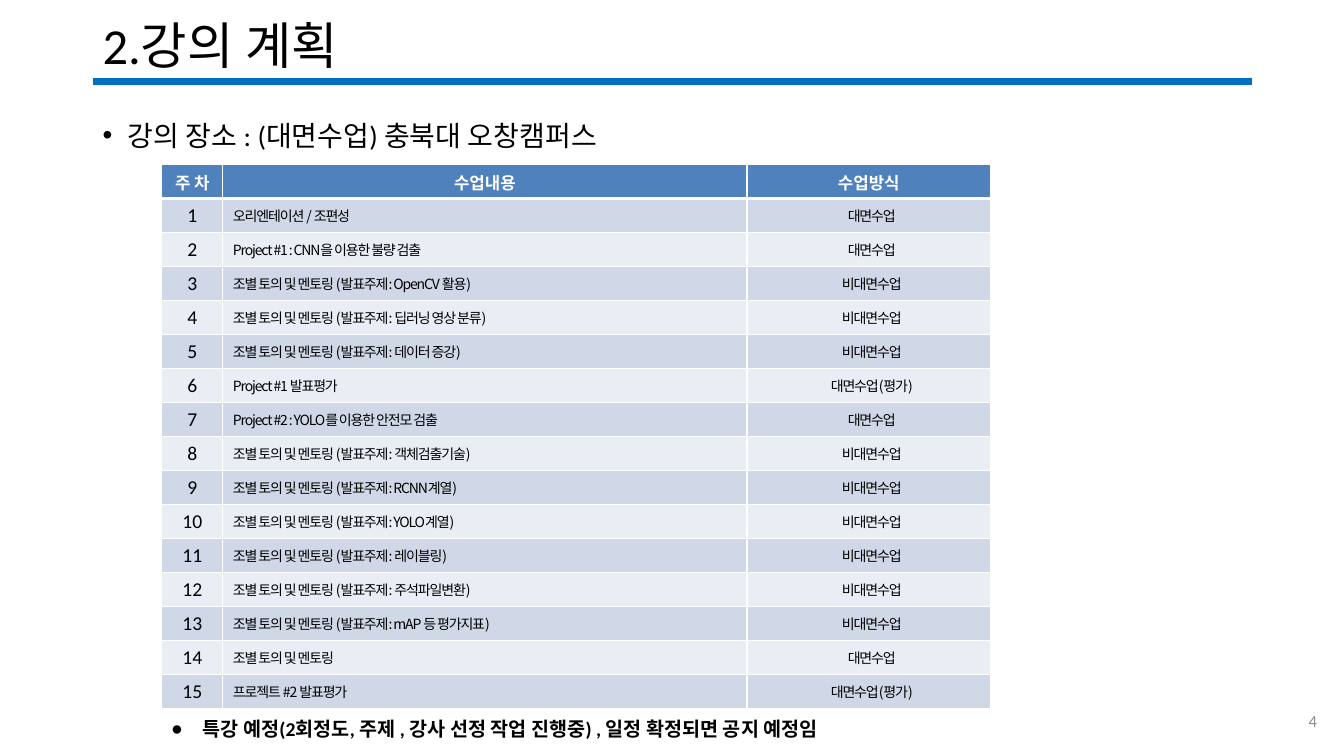
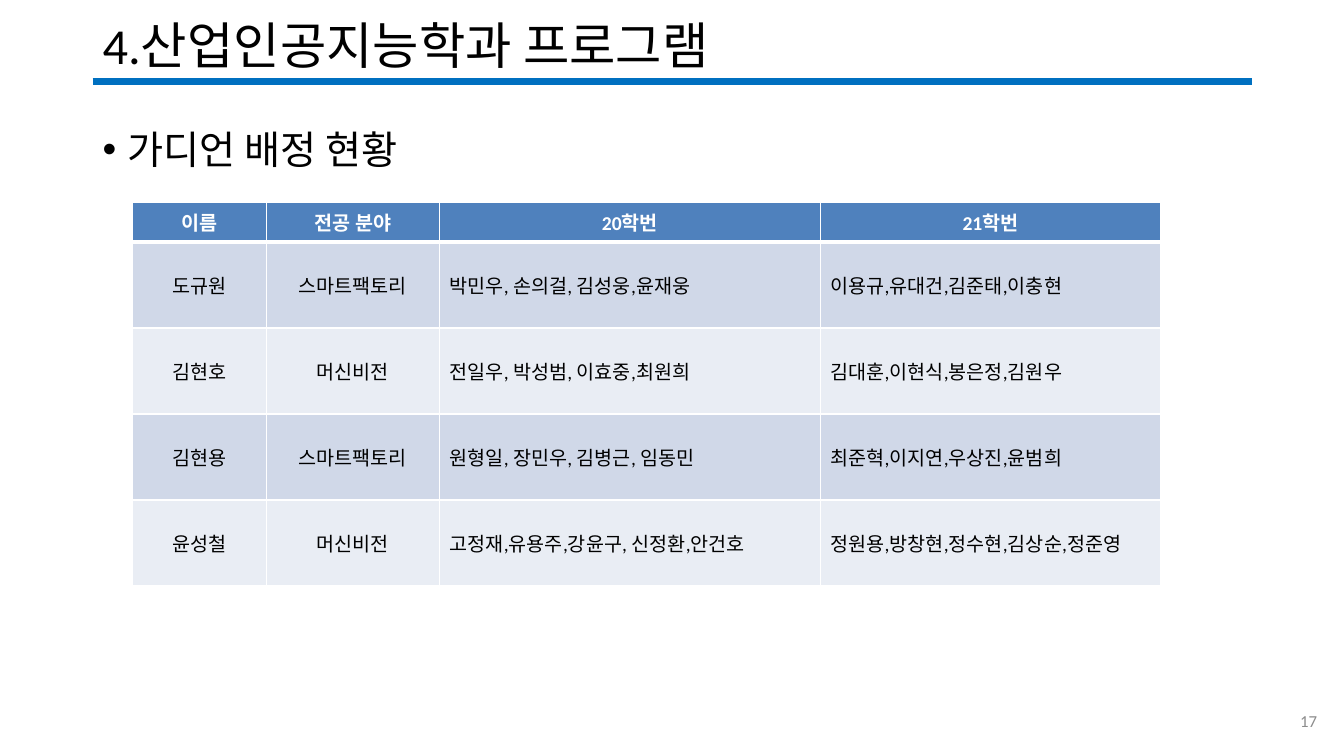
from lxml import etree
from pptx import Presentation
from pptx.dml.color import RGBColor
from pptx.enum import shapes, text
from pptx.oxml import ns
from pptx.util import Pt

# Shared look
BLACK = RGBColor(0x00, 0x00, 0x00)
WHITE = RGBColor(0xFF, 0xFF, 0xFF)
GRAY = RGBColor(0x8C, 0x8C, 0x8C)
RULE_BLUE = RGBColor(0x00, 0x70, 0xC0)
HEADER_BLUE = RGBColor(0x4F, 0x81, 0xBD)
BANDS = RGBColor(0xD0, 0xD8, 0xE8), RGBColor(0xE9, 0xED, 0xF4)
LATIN_FONT, KOREAN_FONT = "Calibri", "Noto Sans CJK KR"
LEFT, CENTER, RIGHT = text.PP_ALIGN.LEFT, text.PP_ALIGN.CENTER, text.PP_ALIGN.RIGHT
MARGIN, CONTENT_WIDTH, RULE_Y = 66.2, 828, 58.5

# Content
FACE, REMOTE, GRADED = "대면수업", "비대면수업", "대면수업(평가)"
MENTORING = "조별 토의 및 멘토링"
WEEKS = [
    ("오리엔테이션 / 조편성", FACE),
    ("Project #1 : CNN을 이용한 불량 검출", FACE),
    (f"{MENTORING} (발표주제: OpenCV 활용)", REMOTE),
    (f"{MENTORING} (발표주제: 딥러닝 영상 분류)", REMOTE),
    (f"{MENTORING} (발표주제: 데이터 증강)", REMOTE),
    ("Project #1 발표평가", GRADED),
    ("Project #2 : YOLO를 이용한 안전모 검출", FACE),
    (f"{MENTORING} (발표주제: 객체검출기술)", REMOTE),
    (f"{MENTORING} (발표주제: RCNN계열)", REMOTE),
    (f"{MENTORING} (발표주제: YOLO계열)", REMOTE),
    (f"{MENTORING} (발표주제: 레이블링)", REMOTE),
    (f"{MENTORING} (발표주제: 주석파일변환)", REMOTE),
    (f"{MENTORING} (발표주제: mAP 등 평가지표)", REMOTE),
    (MENTORING, FACE),
    ("프로젝트 #2 발표평가", GRADED),
]
# Column style: alignment, size, font, letter spacing, right inset
WEEK_STYLE = (CENTER, 14, LATIN_FONT, 0, 7.2)
NAME_STYLE = (LEFT, 14, LATIN_FONT, 0, 7.2)
TOPIC_STYLE = (LEFT, 10, KOREAN_FONT, -0.8, 3)
MODE_STYLE = (CENTER, 10, KOREAN_FONT, -0.8, 3)

SLIDES = [
    {
        "title": "2.강의 계획", "number": "4",
        "bullet": "강의 장소 : (대면수업) 충북대 오창캠퍼스", "bullet_size": 20,
        "table": {
            "left": 115.6, "top": 117.6, "widths": (43.6, 374.4, 174),
            "header": ("주 차", "수업내용", "수업방식"), "header_size": 12,
            "header_height": 24.2, "row_height": 24.3,
            "styles": (WEEK_STYLE, TOPIC_STYLE, MODE_STYLE),
            "rows": [(str(week), *row) for week, row in enumerate(WEEKS, 1)],
        },
        "note": "특강 예정(2회정도, 주제 , 강사 선정 작업 진행중) , 일정 확정되면 공지 예정임",
    },
    {
        "title": "4.산업인공지능학과 프로그램", "number": "17",
        "bullet": "가디언 배정 현황", "bullet_size": 28,
        "table": {
            "left": 94.6, "top": 144.5, "widths": (95.6, 123.8, 272, 243.2),
            "header": ("이름", "전공 분야", "20학번", "21학번"), "header_size": 14,
            "header_height": 28.4, "row_height": 61.4,
            "styles": (WEEK_STYLE, WEEK_STYLE, NAME_STYLE, NAME_STYLE),
            "rows": [
                ("도규원", "스마트팩토리", "박민우, 손의걸, 김성웅,윤재웅", "이용규,유대건,김준태,이충현"),
                ("김현호", "머신비전", "전일우, 박성범, 이효중,최원희", "김대훈,이현식,봉은정,김원우"),
                ("김현용", "스마트팩토리", "원형일, 장민우, 김병근, 임동민", "최준혁,이지연,우상진,윤범희"),
                ("윤성철", "머신비전", "고정재,유용주,강윤구, 신정환,안건호",
                 "정원용,방창현,정수현,김상순,정준영"),
            ],
        },
    },
]


def place(shape, left, top, width, height):
    shape.left, shape.top = Pt(left), Pt(top)
    shape.width, shape.height = Pt(width), Pt(height)


def add_child(parent, tag, **attributes):
    return etree.SubElement(parent, ns.qn(tag), attributes)


def write(frame, words, size, color=BLACK, align=LEFT, bold=False,
          font_name=LATIN_FONT, tracking=0):
    """Fill a text frame with one paragraph in one format."""
    frame.word_wrap = True
    paragraph = frame.paragraphs[0]
    paragraph.text = words
    paragraph.alignment = align
    font = paragraph.font
    font.size, font.bold, font.name = Pt(size), bold, font_name
    font.color.rgb = color
    properties = paragraph._p.get_or_add_pPr().get_or_add_defRPr()
    add_child(properties, "a:ea", typeface=KOREAN_FONT)
    if tracking:
        properties.set("spc", str(round(tracking * 100)))
    return paragraph


def add_bullet(paragraph, symbol, indent):
    paragraph.line_spacing = 1.5
    properties = paragraph._p.get_or_add_pPr()
    properties.set("marL", str(Pt(indent)))
    properties.set("indent", str(-Pt(indent)))
    defaults = properties.get_or_add_defRPr()
    for tag, name, value in (("a:buFont", "typeface", "Arial"), ("a:buChar", "char", symbol)):
        mark = add_child(properties, tag, **{name: value})
        defaults.addprevious(mark)


def add_text(slide, box, anchor, *words, **style):
    shape = slide.shapes.add_textbox(*map(Pt, box))
    shape.text_frame.vertical_anchor = anchor
    return write(shape.text_frame, *words, **style)


def format_cell(cell, fill, top, bottom):
    properties = cell._tc.get_or_add_tcPr()
    for side, width in (("L", 1), ("R", 1), ("T", top), ("B", bottom)):
        line = add_child(properties, f"a:ln{side}", w=str(Pt(width)))
        add_child(add_child(line, "a:solidFill"), "a:srgbClr", val=str(WHITE))
    cell.fill.solid()
    cell.fill.fore_color.rgb = fill
    cell.vertical_anchor = text.MSO_ANCHOR.MIDDLE


def add_table(slide, data):
    rows, widths = data["rows"], data["widths"]
    heights = [data["header_height"]] + [data["row_height"]] * len(rows)
    table = slide.shapes.add_table(
        len(heights), len(widths), Pt(data["left"]), Pt(data["top"]),
        Pt(sum(widths)), Pt(sum(heights))).table
    for column, width in zip(table.columns, widths):
        column.width = Pt(width)
    for row, height in zip(table.rows, heights):
        row.height = Pt(height)
    for index, words in enumerate(data["header"]):
        cell = table.cell(0, index)
        format_cell(cell, HEADER_BLUE, 1, 3)
        write(cell.text_frame, words, data["header_size"], WHITE, CENTER, True)
    for number, row in enumerate(rows, 1):
        for index, (words, style) in enumerate(zip(row, data["styles"])):
            align, size, font_name, tracking, inset = style
            cell = table.cell(number, index)
            cell.margin_right = Pt(inset)
            format_cell(cell, BANDS[(number - 1) % 2], 3 if number == 1 else 1, 1)
            write(cell.text_frame, words, size, align=align,
                  font_name=font_name, tracking=tracking)


def add_rule(slide):
    rule = slide.shapes.add_connector(
        shapes.MSO_CONNECTOR.STRAIGHT, Pt(MARGIN), Pt(RULE_Y),
        Pt(MARGIN + CONTENT_WIDTH), Pt(RULE_Y))
    rule.line.color.rgb = RULE_BLUE
    rule.line.width = Pt(5)
    add_child(rule._element.spPr, "a:effectLst")


def build_slide(presentation, content):
    slide = presentation.slides.add_slide(presentation.slide_layouts[1])
    add_rule(slide)

    # Title and bullet
    title, body = slide.shapes.title, slide.placeholders[1]
    place(title, MARGIN, 10, CONTENT_WIDTH, 49)
    place(body, MARGIN, 69, CONTENT_WIDTH, 417.6)
    for shape in (title, body):
        shape.text_frame.auto_size = text.MSO_AUTO_SIZE.NONE
    title.text_frame.vertical_anchor = text.MSO_ANCHOR.MIDDLE
    write(title.text_frame, content["title"], 36).line_spacing = 0.9
    bullet = write(body.text_frame, content["bullet"], content["bullet_size"])
    bullet.space_before = Pt(10)
    add_bullet(bullet, "•", 18)

    # Page number, table and closing note
    add_text(slide, (732, 500.4, 216, 28.8), text.MSO_ANCHOR.MIDDLE,
             content["number"], 12, GRAY, RIGHT)
    add_table(slide, content["table"])
    if "note" in content:
        note = add_text(slide, (115.2, 500.4, 574.6, 30), text.MSO_ANCHOR.TOP,
                        content["note"], 14, bold=True)
        add_bullet(note, "●", 22.5)


def main():
    presentation = Presentation()
    presentation.slide_width, presentation.slide_height = Pt(960), Pt(540)
    for content in SLIDES:
        build_slide(presentation, content)
    presentation.save("out.pptx")


if __name__ == "__main__":
    main()
